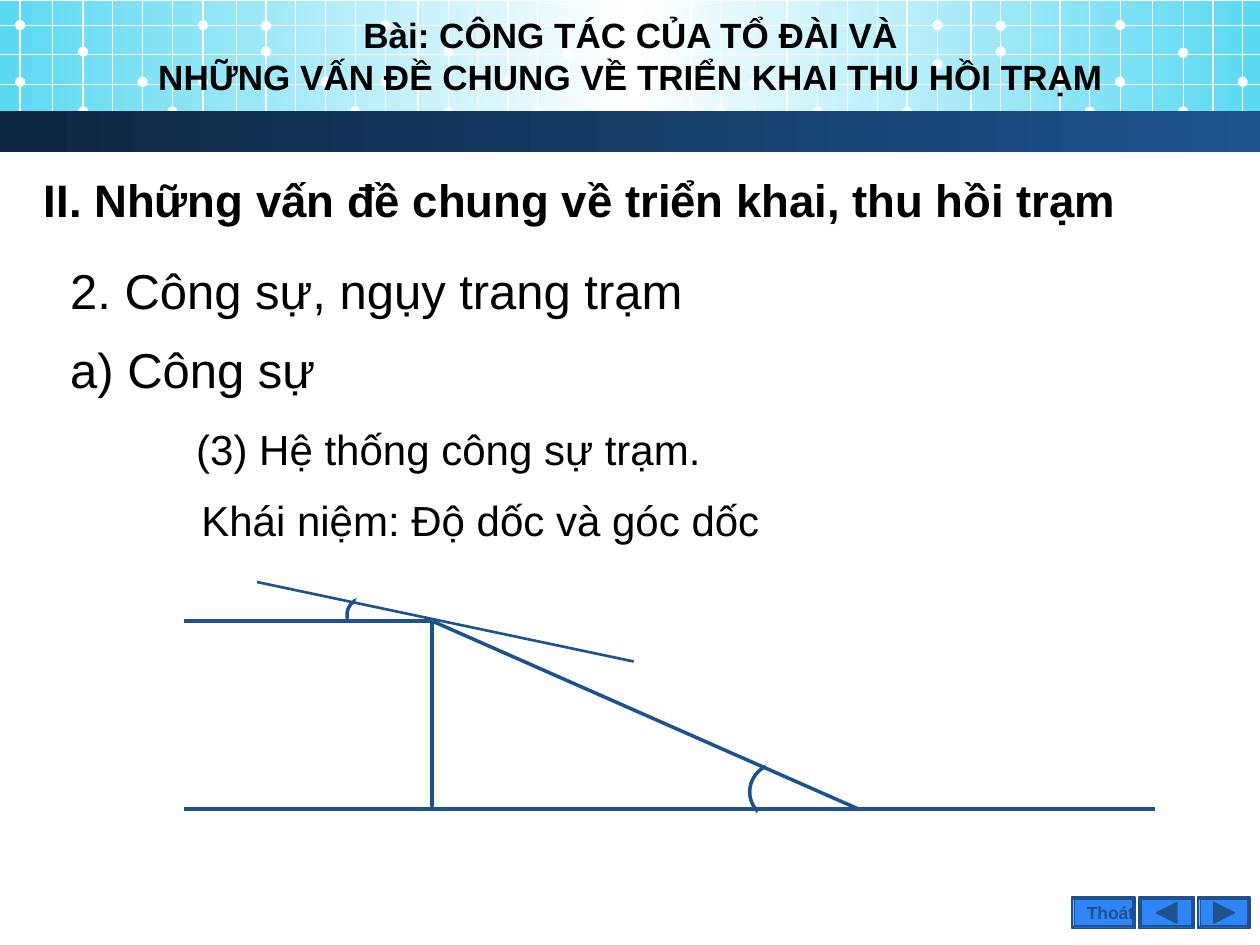
from copy import deepcopy

from lxml import etree
from pptx import Presentation
from pptx.dml import color
from pptx.enum import shapes, text
from pptx.oxml import ns
from pptx.util import Pt

SHAPE = shapes.MSO_SHAPE
ALIGN = text.PP_ALIGN
BLUE, BUTTON, WHITE, BLACK = "1D528D", "2F85F7", "FFFFFF", "000000"


def rgb(value):
    """Turn a hex string into a colour."""
    return color.RGBColor.from_string(value)


def add_shape(page, kind, box, fill=None, line=None, width=1, turn=0):
    """Draw a preset shape in a box of (left, top, width, height)."""
    shape = page.shapes.add_shape(kind, *map(Pt, box))
    shape.shadow.inherit = False
    shape.rotation = turn
    if fill:
        shape.fill.solid()
        shape.fill.fore_color.rgb = rgb(fill)
    else:
        shape.fill.background()
    if line:
        shape.line.color.rgb = rgb(line)
        shape.line.width = Pt(width)
    else:
        shape.line.fill.background()
    return shape


def add_gradient(page, box, colours):
    """Draw a rectangle with evenly spaced gradient stops from left to right."""
    shape = add_shape(page, SHAPE.RECTANGLE, box, WHITE)
    shape.fill.gradient()
    shape.fill.gradient_angle = 0
    stop_list = shape._element.spPr.find(".//" + ns.qn("a:gsLst"))
    while len(stop_list) < len(colours):
        stop_list.append(deepcopy(stop_list[0]))
    for index, (element, value) in enumerate(zip(stop_list, colours)):
        element.set("pos", str(100000 * index // (len(colours) - 1)))
        shape.fill.gradient_stops[index].color.rgb = rgb(value)


def add_line(page, start, end, colour, width):
    """Draw a straight line between two points."""
    line = page.shapes.add_connector(
        shapes.MSO_CONNECTOR.STRAIGHT, *map(Pt, (*start, *end)))
    line.line.color.rgb = rgb(colour)
    line.line.width = Pt(width)
    etree.SubElement(line._element.spPr, ns.qn("a:effectLst"))


def style_paragraph(para, size, colour=BLACK, bold=False, align=ALIGN.LEFT, spacing=None, indent=0):
    """Set the font, alignment, line spacing and left indent of a paragraph."""
    para.alignment = align
    if spacing:
        para.line_spacing = spacing
    if indent:
        para._p.get_or_add_pPr().set("marL", str(Pt(indent)))
    para.font.name = "Arial"
    para.font.size = Pt(size)
    para.font.bold = bold
    para.font.color.rgb = rgb(colour)


def add_text(page, box, lines, anchor=text.MSO_ANCHOR.TOP):
    """Place a text box whose lines are (wording, style) pairs."""
    frame = page.shapes.add_textbox(*map(Pt, box)).text_frame
    frame.word_wrap = True
    frame.vertical_anchor = anchor
    for index, (wording, style) in enumerate(lines):
        para = frame.add_paragraph() if index else frame.paragraphs[0]
        para.text = wording
        style_paragraph(para, **style)


def banner(page, left, top, width, height):
    """Draw the dotted grid banner with the dark bar along its foot."""
    bar_top = top + 63.4
    add_gradient(page, (left, top + 0.7, width, 73.4), ["5AD9F2", WHITE, "5AD9F2"])
    offsets = [0, 18.5, 36, 53, 70, 87, 104.5, 123.5, 140.5, 157.5, 174.5, 191.5]
    groups = [(11.5, 29.5, 46.8), (220.3, 29.5, 31), (431.3, 25.2, 36.7), (640.1, 30.2, 31)]
    for start, third, seventh in groups:
        dots = {0: (14.4, 46.8), 2: (third, 63.7), 4: (46.8,), 5: (63.7,),
                6: (14.4, seventh), 8: (14.8, 29.5), 10: (46.8,), 11: (63.7,)}
        for column, offset in enumerate(offsets):
            x = left + start + offset
            if x > left + width:
                break
            add_line(page, (x, top), (x, top + 79.2), WHITE, 0.75)
            for y in dots.get(column, ()):
                add_shape(page, SHAPE.OVAL, (x - 2.9, top + y - 2.9, 5.8, 5.8), WHITE)
    for y in (14.4, 31, 48.2, 64.1):
        add_line(page, (left, top + y), (left + width, top + y), WHITE, 0.75)
    add_gradient(page, (left, bar_top, width, top + height - bar_top), ["0D2641", BLUE])
    title = "Bài: CÔNG TÁC CỦA TỔ ĐÀI VÀ\vNHỮNG VẤN ĐỀ CHUNG VỀ TRIỂN KHAI THU HỒI TRẠM"
    add_text(page, (left + 14.4, top + 9.4, 691.9, 44.6),
             [(title, dict(size=20, bold=True, align=ALIGN.CENTER))], text.MSO_ANCHOR.MIDDLE)


def outline(page, left, top, width):
    """Write the section heading and its numbered points."""
    point = dict(size=28, align=ALIGN.JUSTIFY, spacing=Pt(45), indent=31.7)
    add_text(page, (left + 16.6, top, width - 18, 38.9),
             [("II. Những vấn đề chung về triển khai, thu hồi trạm", dict(size=26, bold=True))])
    add_text(page, (left, top + 38.9, width - 16, 183.6), [
        ("2. Công sự, ngụy trang trạm", point),
        ("a) Công sự", point),
        ("(3) Hệ thống công sự trạm.", point | dict(size=24, spacing=1.5, indent=103.7))])
    add_text(page, (left + 74.9, top + 167.8, 640, 52.6),
             [("Khái niệm: Độ dốc và góc dốc", point | dict(size=24))])


def slope_diagram(page, left, top):
    """Draw the slope, the sight line and the two angle marks."""
    marks = [((323.3, 103.7, 32.4, 32.4), 0, (330.5, 78.5, 85, 85), 9.6),
             ((92.9, 9.4, 24.5, 20.9), 23.5, (95, 8.6, 31, 28.1), 21.7)]
    for circle, circle_turn, cover, cover_turn in marks:
        for kind, (x, y, *size), fill, line, width, turn in (
                (SHAPE.OVAL, circle, None, BLUE, 2, circle_turn),
                (SHAPE.RECTANGLE, cover, WHITE, WHITE, 0.75, cover_turn)):
            add_shape(page, kind, (left + x, top + y, *size), fill, line, width, turn)
    crest, foot, ground = (141.9, 22.3), (385.2, 129.6), 129.6
    for (x1, y1), (x2, y2), width in (
            (crest, (crest[0], ground), 2),
            ((0, ground), (555.1, ground), 2),
            (crest, foot, 2),
            ((0, crest[1]), crest, 2),
            ((41.8, 0), (257, 45.4), 1.5)):
        add_line(page, (left + x1, top + y1), (left + x2, top + y2), BLUE, width)


def navigation(page, left, top, height):
    """Draw the exit, back and forward buttons."""
    for x, width, turn in ((0, 36, None), (38.2, 31.7, -90), (72, 29.5, 90)):
        button = add_shape(page, SHAPE.BEVEL, (left + x, top, width, height), BUTTON, BLUE)
        button.adjustments[0] = 0.07
        if turn is None:
            frame = button.text_frame
            frame.word_wrap = False
            frame.vertical_anchor = text.MSO_ANCHOR.MIDDLE
            frame.text = "Thoát"
            style_paragraph(frame.paragraphs[0], 10, BLUE, True)
        else:
            side = 11.5
            arrow = (left + x + (width - side) / 2, top + (height - side) / 2, side, side)
            add_shape(page, SHAPE.ISOSCELES_TRIANGLE, arrow, BLUE, BLUE, turn=turn)


def main():
    """Build and save the slide."""
    deck = Presentation()
    deck.slide_width, deck.slide_height = Pt(720), Pt(540)
    page = deck.slides.add_slide(deck.slide_layouts[6])
    banner(page, 0, 0, 720, 87.1)
    outline(page, 1.4, 95, 720)
    slope_diagram(page, 105.1, 332.6)
    navigation(page, 612.7, 512.6, 18)
    deck.save("out.pptx")


if __name__ == "__main__":
    main()
